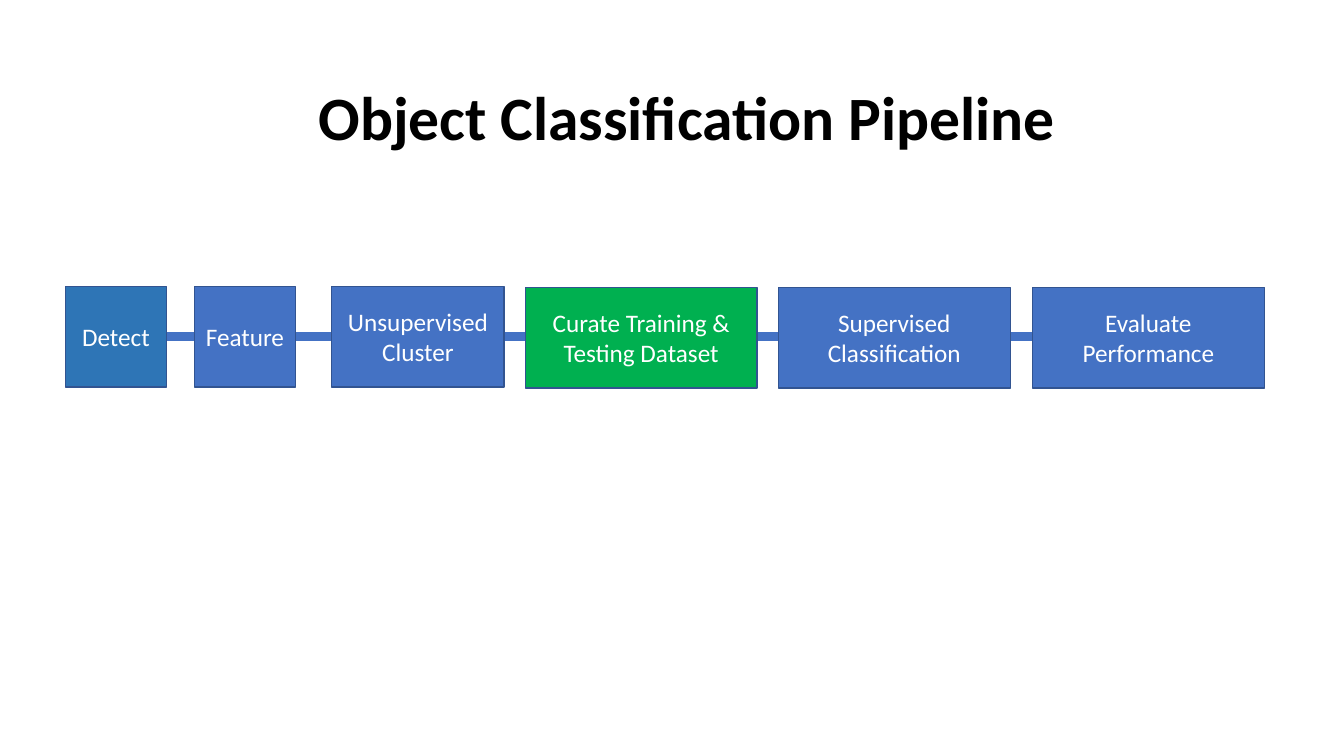
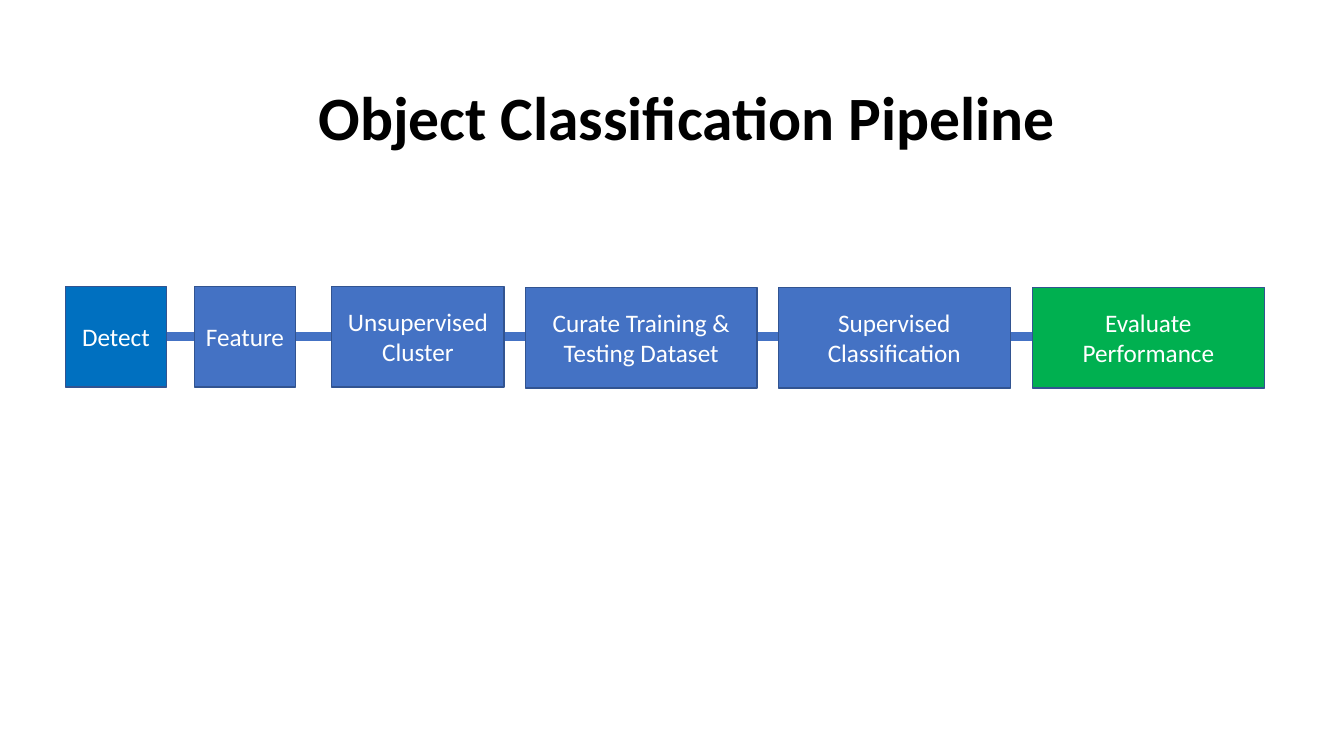
from pptx import Presentation
from pptx.dml.color import RGBColor
from pptx.enum.shapes import MSO_CONNECTOR, MSO_SHAPE
from pptx.enum.text import MSO_ANCHOR, MSO_AUTO_SIZE, PP_ALIGN
from pptx.oxml.ns import qn
from pptx.util import Inches, Pt
from lxml.etree import SubElement

FONT = "Calibri"
BLUE, GREEN, EDGE, WHITE, BLACK = "4472C4", "00B050", "325491", "FFFFFF", "000000"
TITLE = "Object Classification Pipeline"
TITLE_BOX = (3.06, 0.73, 7.58, 0.84)
ROW_BOX = (0.65, 2.84, 11.89, 1)
STEPS = [
    ("Detect", 0, 0, 1),
    ("Feature", 1.28, 0, 1),
    ("Unsupervised\nCluster", 2.64, 0, 1.71),
    ("Curate Training & Testing Dataset", 4.56, 0.01, 2.3),
    ("Supervised\nClassification", 7.07, 0.01, 2.3),
    ("Evaluate\nPerformance", 9.59, 0.01, 2.3),
]
SLIDE_FILLS = [
    {"Detect": "2E75B6", "Curate Training & Testing Dataset": GREEN},
    {"Detect": "0070C0", "Evaluate\nPerformance": GREEN},
]


def rgb(color):
    """Turn a hex string into a colour."""
    return RGBColor.from_string(color)


def style_text(tf, size, color, align, bold=False):
    """Format every paragraph and run of a text frame."""
    for p in tf.paragraphs:
        p.alignment = align
        for r in p.runs:
            r.font.name = FONT
            r.font.size = Pt(size)
            r.font.bold = bold
            r.font.color.rgb = rgb(color)


def add_title(slide, box):
    """Write the slide title in the given box."""
    tf = slide.shapes.add_textbox(*map(Inches, box)).text_frame
    tf.text = TITLE
    tf.word_wrap = False
    tf.auto_size = MSO_AUTO_SIZE.SHAPE_TO_FIT_TEXT
    style_text(tf, 44, BLACK, PP_ALIGN.LEFT, bold=True)


def add_track(slide, x1, x2, y):
    """Draw the thick line that runs behind the steps."""
    line = slide.shapes.add_connector(
        MSO_CONNECTOR.STRAIGHT, Inches(x1), Inches(y), Inches(x2), Inches(y))
    line.line.color.rgb = rgb(BLUE)
    line.line.width = Pt(6)
    SubElement(line._element.spPr, qn("a:effectLst"))


def add_step(slide, box, text, fill):
    """Draw one labelled step of the pipeline."""
    sp = slide.shapes.add_shape(MSO_SHAPE.RECTANGLE, *map(Inches, box))
    sp.shadow.inherit = False
    sp.fill.solid()
    sp.fill.fore_color.rgb = rgb(fill)
    sp.line.color.rgb = rgb(EDGE)
    sp.line.width = Pt(1)
    tf = sp.text_frame
    tf.text = text
    tf.word_wrap = True
    tf.vertical_anchor = MSO_ANCHOR.MIDDLE
    style_text(tf, 18, WHITE, PP_ALIGN.CENTER)


def add_pipeline(slide, box, fills):
    """Lay the track and its steps out in the given box."""
    left, top, width, height = box
    add_track(slide, left + 0.93, left + width - 1.73, top + height / 2)
    for text, dx, dy, step_width in STEPS:
        step_box = (left + dx, top + dy, step_width, height)
        add_step(slide, step_box, text, fills.get(text, BLUE))


def main():
    """Build and save the presentation."""
    prs = Presentation()
    prs.slide_width, prs.slide_height = Inches(13.33), Inches(7.5)
    for fills in SLIDE_FILLS:
        slide = prs.slides.add_slide(prs.slide_layouts[6])
        add_pipeline(slide, ROW_BOX, fills)
        add_title(slide, TITLE_BOX)
    prs.save("out.pptx")


if __name__ == "__main__":
    main()
